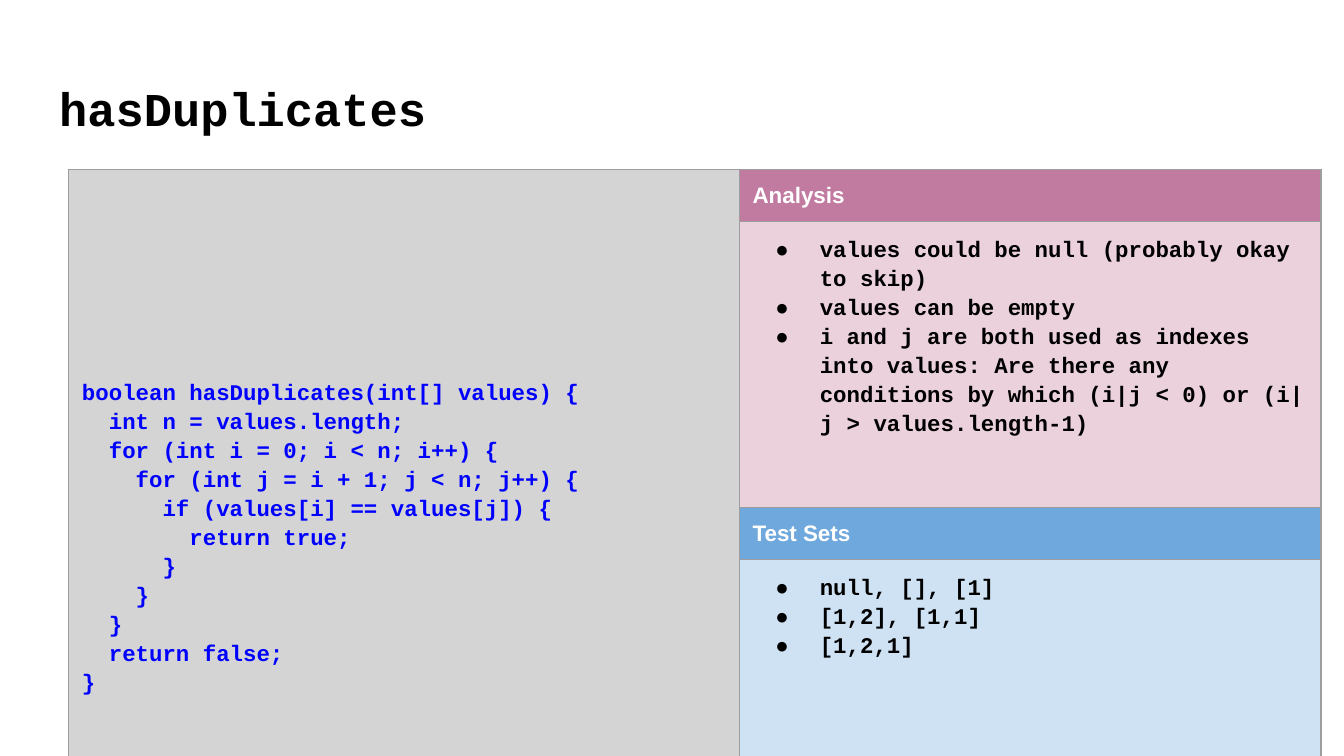
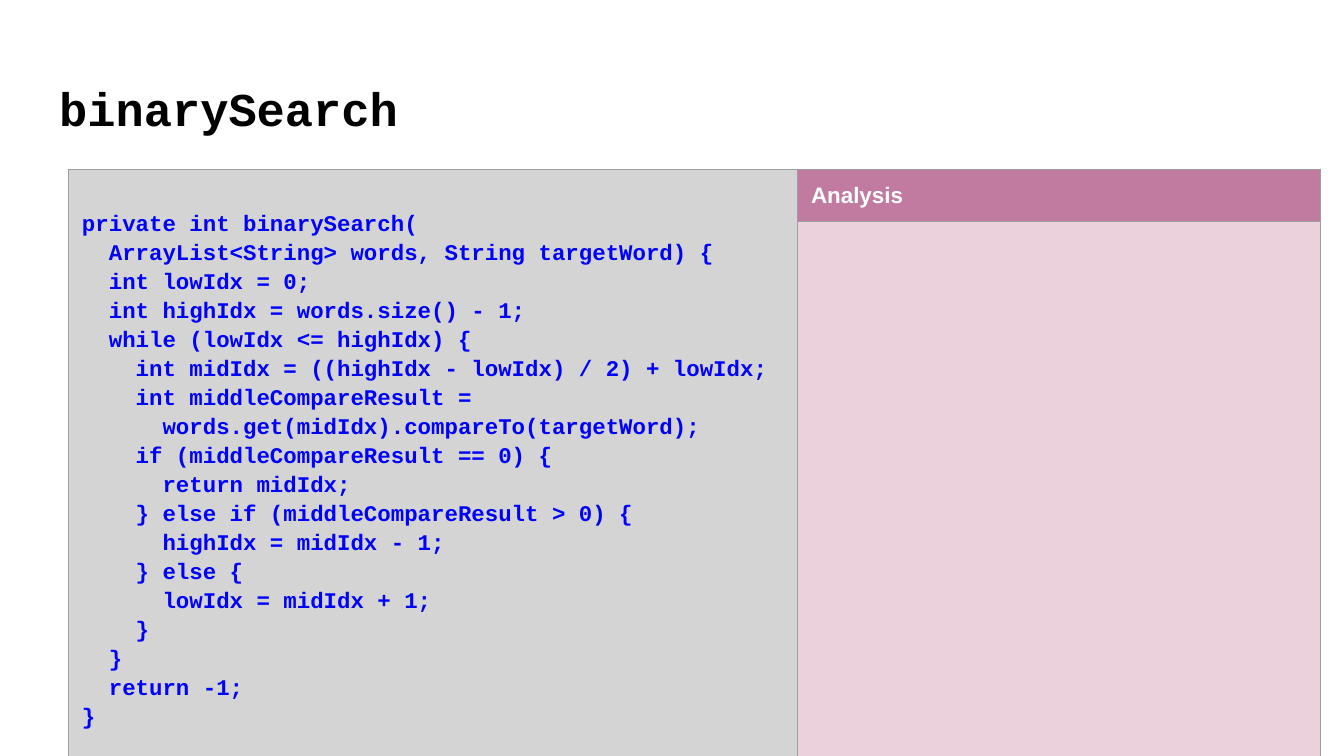
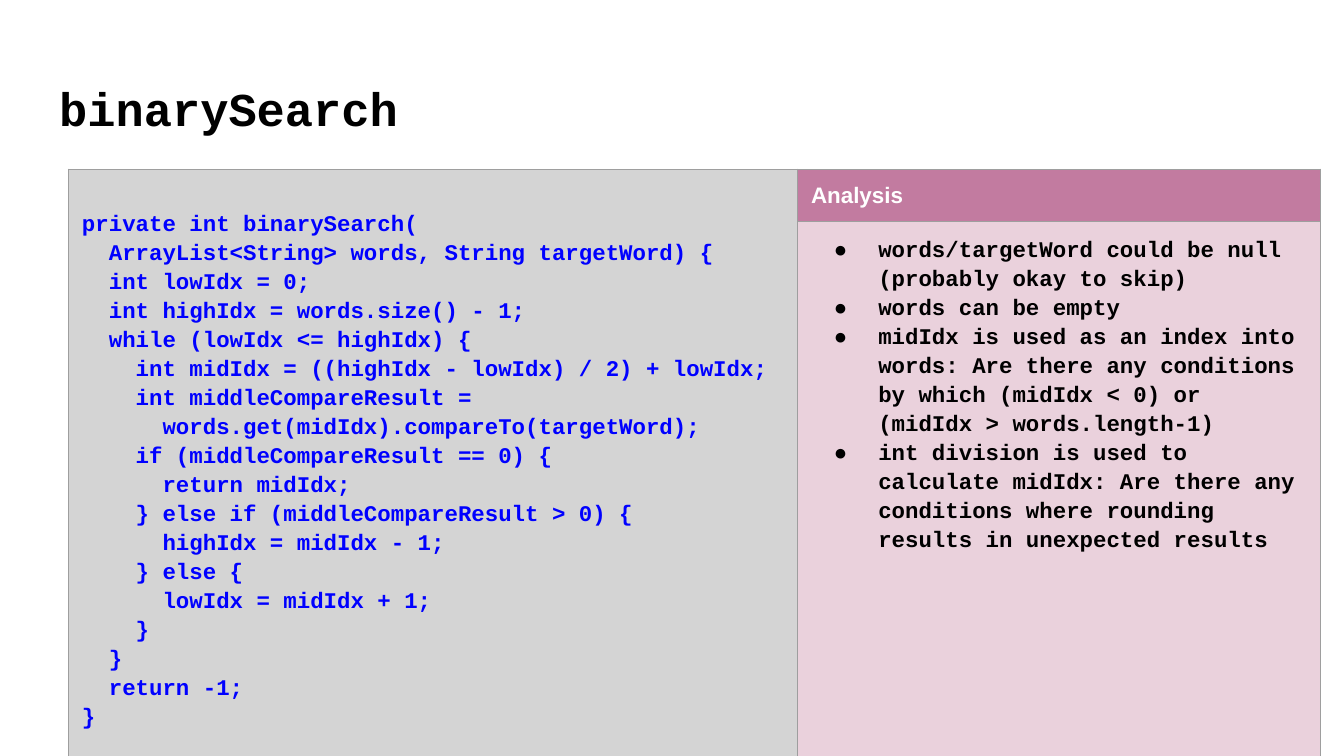
from copy import deepcopy
from dataclasses import dataclass

from lxml import etree
from pptx import Presentation
from pptx import slide as sl
from pptx import table as tb
from pptx.dml import color as dml
from pptx.enum import text
from pptx.oxml import ns
from pptx.text import text as txt
from pptx.util import Pt


@dataclass(frozen=True)
class Theme:
    mono: str = "Courier New"
    sans: str = "Arial"
    title_size: float = 25.2
    body_size: float = 12
    border_width: float = 0.75
    line_spacing: float = 1.15
    ink: str = "000000"
    paper: str = "FFFFFF"
    code_ink: str = "0000FF"
    code_fill: str = "D4D4D4"
    border: str = "9E9E9E"
    analysis_head: str = "C27BA0"
    analysis_body: str = "EAD1DC"
    tests_head: str = "6FA8DC"
    tests_body: str = "CFE2F3"


@dataclass(frozen=True)
class Panel:
    heading: str
    bullets: tuple[str, ...]
    head_fill: str
    body_fill: str
    head_height: int
    body_height: int


@dataclass(frozen=True)
class CodeSlide:
    title: str
    code: str
    col_widths: tuple[int, int]
    panels: tuple[Panel, ...]


THEME = Theme()
PX = 4572
SLIDE_W, SLIDE_H = 2000, 1125
TITLE_BOX = (68, 98, 1864, 126)
TABLE_LEFT, TABLE_TOP = 102, 252
INSET = 20
BULLET_MARGIN, BULLET_HANG = 100, 66

HAS_DUPLICATES = """boolean hasDuplicates(int[] values) {
  int n = values.length;
  for (int i = 0; i < n; i++) {
    for (int j = i + 1; j < n; j++) {
      if (values[i] == values[j]) {
        return true;
      }
    }
  }
  return false;
}"""

BINARY_SEARCH = """private int binarySearch(
  ArrayList<String> words, String targetWord) {
  int lowIdx = 0;
  int highIdx = words.size() - 1;
  while (lowIdx <= highIdx) {
    int midIdx = ((highIdx - lowIdx) / 2) + lowIdx;
    int middleCompareResult = 
      words.get(midIdx).compareTo(targetWord);
    if (middleCompareResult == 0) {
      return midIdx;
    } else if (middleCompareResult > 0) {
      highIdx = midIdx - 1;
    } else {
      lowIdx = midIdx + 1;
    }
  }
  return -1;
}"""


def analysis(*bullets: str, head_height: int = 70, body_height: int = 746) -> Panel:
    return Panel("Analysis", bullets, THEME.analysis_head, THEME.analysis_body,
                 head_height, body_height)


def binary_search(*bullets: str) -> CodeSlide:
    return CodeSlide("binarySearch", BINARY_SEARCH, (1085, 778), (analysis(*bullets),))


SLIDES = (
    CodeSlide("hasDuplicates", HAS_DUPLICATES, (998, 866), (
        analysis(
            "values could be null (probably okay to skip)",
            "values can be empty",
            "i and j are both used as indexes into values: Are there any conditions "
            "by which (i|j < 0) or (i|j > values.length-1)",
            head_height=68, body_height=426),
        Panel("Test Sets", ("null, [], [1]", "[1,2], [1,1]", "[1,2,1]"),
              THEME.tests_head, THEME.tests_body, 68, 164),
    )),
    binary_search(),
    binary_search(
        "words/targetWord could be null (probably okay to skip)",
        "words can be empty",
        "midIdx is used as an index into words: Are there any conditions "
        "by which (midIdx < 0) or (midIdx > words.length-1)",
        "int division is used to calculate midIdx: Are there any conditions "
        "where rounding results in unexpected results"),
)


def rgb(value: str) -> dml.RGBColor:
    return dml.RGBColor.from_string(value)


def sub(parent: etree._Element, tag: str, **attrs: str) -> etree._Element:
    return etree.SubElement(parent, ns.qn(tag), attrs)


def add_bullet(p: txt._Paragraph) -> None:
    props = p._p.get_or_add_pPr()
    props.set("marL", str(BULLET_MARGIN * PX))
    props.set("indent", str(-BULLET_HANG * PX))
    sub(sub(props, "a:buClr"), "a:srgbClr", val=THEME.ink)
    sub(props, "a:buFont", typeface=THEME.mono)
    sub(props, "a:buChar", char="●")


def write(tf: txt.TextFrame, paragraphs: tuple[str, ...], *, color: str = THEME.ink,
          font: str = THEME.mono, size: float = THEME.body_size,
          spacing: float = THEME.line_spacing, after: float = 0,
          bullet: bool = False) -> None:
    for i, content in enumerate(paragraphs):
        p = tf.add_paragraph() if i else tf.paragraphs[0]
        p.alignment = text.PP_ALIGN.LEFT
        p.line_spacing = spacing
        p.space_before = Pt(0)
        p.space_after = Pt(after)
        if bullet:
            add_bullet(p)
        p.text = content
        for r in p.runs:
            r.font.name, r.font.size, r.font.bold = font, Pt(size), True
            r.font.color.rgb = rgb(color)
        for br in p._p.findall(ns.qn("a:br")):
            br.append(deepcopy(p.runs[0]._r.rPr))


def style_cell(cell: tb._Cell, fill: str) -> None:
    cell.margin_left = cell.margin_right = INSET * PX
    cell.margin_top = cell.margin_bottom = INSET * PX
    cell.fill.solid()
    cell.fill.fore_color.rgb = rgb(fill)
    props = cell._tc.get_or_add_tcPr()
    for i, side in enumerate("LRTB"):
        ln = etree.Element(ns.qn(f"a:ln{side}"), w=str(Pt(THEME.border_width)))
        sub(sub(ln, "a:solidFill"), "a:srgbClr", val=THEME.border)
        props.insert(i, ln)


def add_title(s: sl.Slide, title: str) -> None:
    sp = s.shapes.title
    sp.left, sp.top, sp.width, sp.height = (n * PX for n in TITLE_BOX)
    tf = sp.text_frame
    tf.word_wrap = True
    tf.auto_size = text.MSO_AUTO_SIZE.NONE
    tf.vertical_anchor = text.MSO_ANCHOR.TOP
    tf.margin_left = tf.margin_right = tf.margin_top = tf.margin_bottom = INSET * PX
    write(tf, (title,), size=THEME.title_size, spacing=1.0)


def add_code_table(s: sl.Slide, item: CodeSlide) -> None:
    heights = [h for panel in item.panels for h in (panel.head_height, panel.body_height)]
    table = s.shapes.add_table(len(heights), 2, TABLE_LEFT * PX, TABLE_TOP * PX,
                               sum(item.col_widths) * PX, sum(heights) * PX).table
    table.first_row = table.horz_banding = False
    for col, width in zip(table.columns, item.col_widths):
        col.width = width * PX
    for i, height in enumerate(heights):
        table.rows[i].height = height * PX
        style_cell(table.cell(i, 0), THEME.code_fill)

    code = table.cell(0, 0)
    code.merge(table.cell(len(heights) - 1, 0))
    code.vertical_anchor = text.MSO_ANCHOR.MIDDLE
    write(code.text_frame, (item.code,), color=THEME.code_ink, after=12)

    for i, panel in enumerate(item.panels):
        head, body = table.cell(2 * i, 1), table.cell(2 * i + 1, 1)
        style_cell(head, panel.head_fill)
        style_cell(body, panel.body_fill)
        write(head.text_frame, (panel.heading,), color=THEME.paper,
              font=THEME.sans, spacing=1.0)
        write(body.text_frame, panel.bullets, bullet=True)


def main() -> None:
    prs = Presentation()
    prs.slide_width, prs.slide_height = SLIDE_W * PX, SLIDE_H * PX
    title_only = prs.slide_layouts[5]
    for item in SLIDES:
        s = prs.slides.add_slide(title_only)
        add_title(s, item.title)
        add_code_table(s, item)
    prs.save("out.pptx")


if __name__ == "__main__":
    main()
